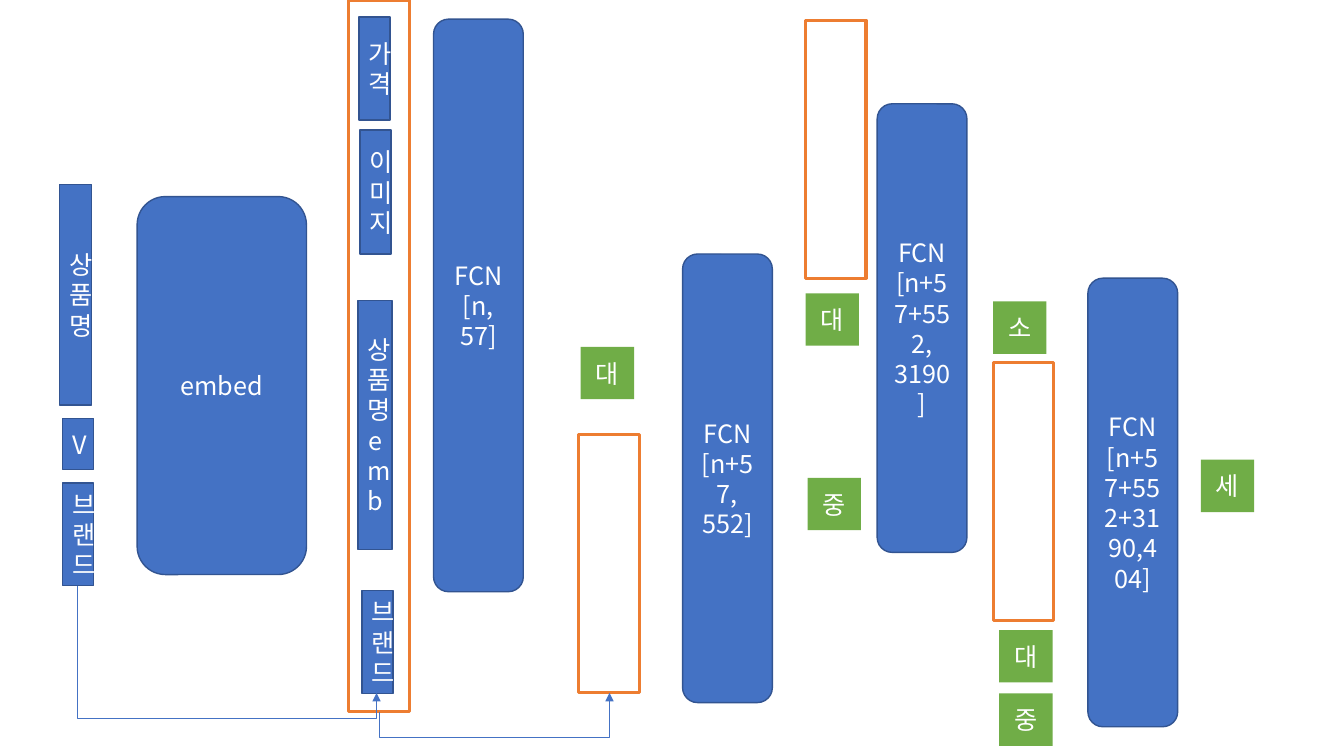
from pptx import Presentation
from pptx.dml.color import RGBColor
from pptx.enum.shapes import MSO_CONNECTOR as CONN, MSO_SHAPE as SHAPE
from pptx.enum.text import PP_ALIGN
from pptx.oxml.ns import qn
from pptx.util import Inches, Pt
from lxml.etree import SubElement

COLORS = {"blue": "4472C4", "edge": "325491", "green": "70AD47",
          "orange": "ED7D31", "white": "FFFFFF"}
FONT = "Noto Sans CJK KR"

prs = Presentation()
prs.slide_width, prs.slide_height = Inches(13.33), Inches(7.5)
s = prs.slides.add_slide(prs.slide_layouts[6])


def rgb(name):
    return RGBColor.from_string(COLORS[name])


def add_box(kind, x, y, w, h, fill=None, line=None, weight=1, text=""):
    sp = s.shapes.add_shape(kind, Inches(x), Inches(y), Inches(w), Inches(h))
    sp.shadow.inherit = False
    if fill:
        sp.fill.solid()
        sp.fill.fore_color.rgb = rgb(fill)
    else:
        sp.fill.background()
    if line:
        sp.line.color.rgb = rgb(line)
        sp.line.width = Pt(weight)
    else:
        sp.line.fill.background()
    if text:
        tf = sp.text_frame
        tf.word_wrap = True
        tf.text = text
        for p in tf.paragraphs:
            p.alignment = PP_ALIGN.CENTER
            p.font.size = Pt(18)
            p.font.name = FONT
            p.font.color.rgb = rgb("white")
            SubElement(p._p.pPr.find(qn("a:defRPr")), qn("a:ea"), typeface=FONT)


inputs = [
    (0.59, 1.83, 0.32, 2.19, "상품명"),
    (0.62, 4.15, 0.31, 0.51, "V"),
    (0.62, 4.79, 0.31, 1.02, "브랜드"),
    (3.56, 0.17, 0.31, 1.02, "가격"),
    (3.57, 1.29, 0.31, 1.23, "이미지"),
    (3.55, 2.98, 0.34, 2.47, "상품명\nemb"),
    (3.59, 5.86, 0.31, 1.02, "브랜드"),
]
for x, y, w, h, text in inputs:
    add_box(SHAPE.RECTANGLE, x, y, w, h, "blue", "edge", text=text)

layers = [
    (1.36, 1.95, 1.68, 3.75, "embed"),
    (4.3, 0.19, 0.89, 5.68, "FCN\n[n, 57]"),
    (6.77, 2.52, 0.89, 4.45, "FCN\n[n+57,\n552]"),
    (8.7, 1.03, 0.89, 4.45, "FCN\n[n+57+552, 3190]"),
    (10.79, 2.76, 0.89, 4.45, "FCN\n[n+57+552+3190,404]"),
]
for x, y, w, h, text in layers:
    add_box(SHAPE.ROUNDED_RECTANGLE, x, y, w, h, "blue", "edge", text=text)

categories = [
    (5.76, 3.44, "대"), (7.99, 2.91, "대"), (8.01, 4.74, "중"),
    (9.85, 2.99, "소"), (9.91, 6.25, "대"), (9.91, 6.88, "중"),
    (11.91, 4.56, "세"),
]
for x, y, text in categories:
    add_box(SHAPE.RECTANGLE, x, y, 0.53, 0.52, "green", text=text)

frames = [(3.46, 0, 7.06), (5.74, 4.31, 2.56), (7.99, 0.2, 2.56), (9.85, 3.6, 2.56)]
for x, y, h in frames:
    add_box(SHAPE.RECTANGLE, x, y, 0.6, h, line="orange", weight=2.25)

arrows = [
    (1.72, 4.86, 1.06, 2.97, 270, ["flipH"], 123500),
    (4.81, 5.83, 0.19, 2.28, 90, ["flipH", "flipV"], -132900),
]
for x, y, w, h, angle, flips, bend in arrows:
    c = s.shapes.add_connector(CONN.ELBOW, Inches(x), Inches(y), Inches(x + w), Inches(y + h))
    c.line.color.rgb = rgb("blue")
    c.line.width = Pt(0.5)
    spPr = c._element.spPr
    xfrm = spPr.find(qn("a:xfrm"))
    xfrm.set("rot", str(angle * 60000))
    for flip in flips:
        xfrm.set(flip, "1")
    guides = spPr.find(qn("a:prstGeom")).find(qn("a:avLst"))
    SubElement(guides, qn("a:gd"), name="adj1", fmla=f"val {bend}")
    SubElement(spPr.find(qn("a:ln")), qn("a:tailEnd"), type="triangle")
    SubElement(spPr, qn("a:effectLst"))

prs.save("out.pptx")
